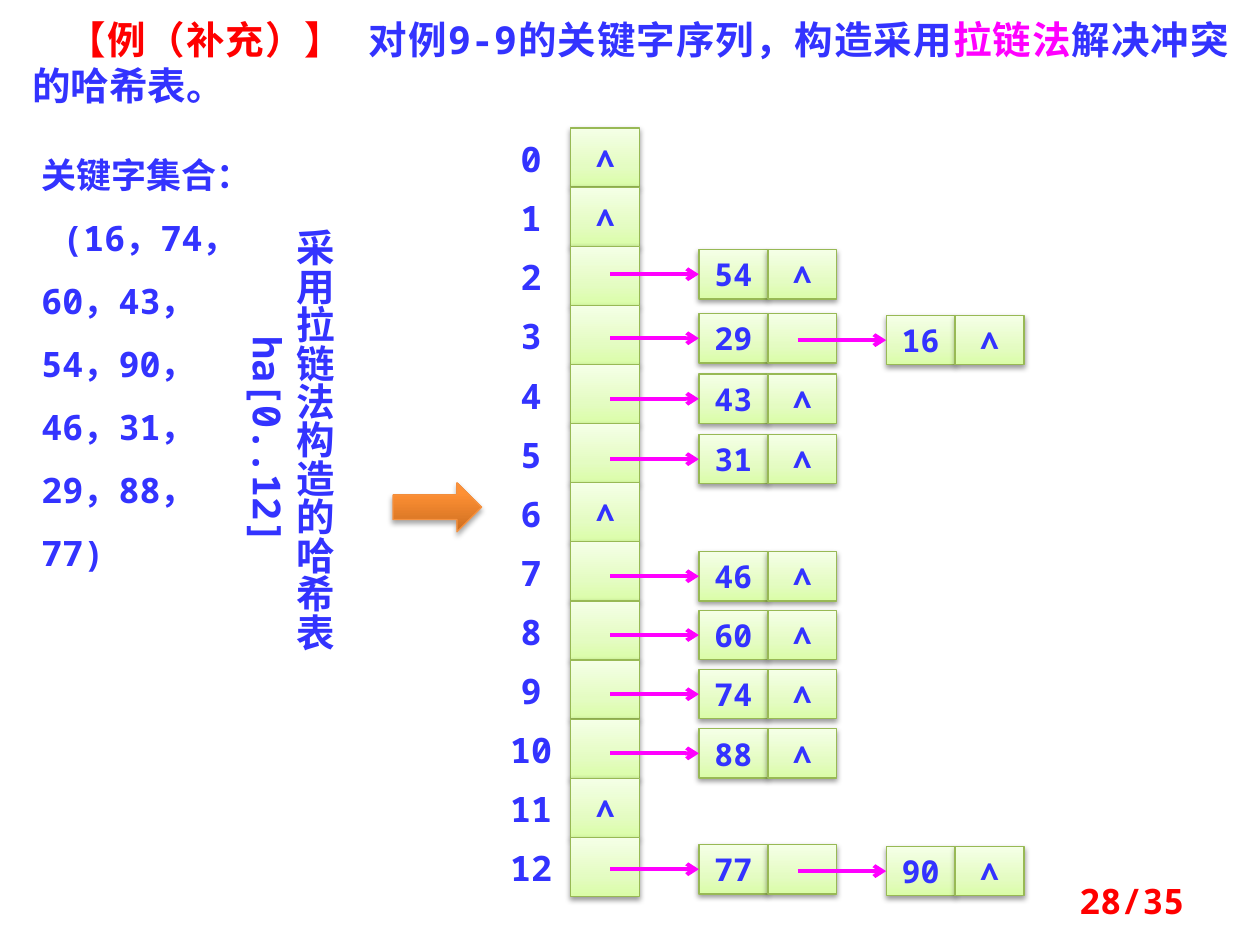
from pptx import Presentation
from pptx.dml.color import RGBColor
from pptx.enum.shapes import MSO_CONNECTOR as Link, MSO_SHAPE as Preset
from pptx.enum.text import MSO_ANCHOR as Anchor, MSO_AUTO_SIZE as Fit, PP_ALIGN as Align
from pptx.oxml import parse_xml
from pptx.oxml.ns import nsdecls, qn
from pptx.util import Pt

FONT = "Noto Sans Mono"
BLUE, RED, PINK = "3333FF", "FF0000", "FF00FF"
GREEN_STOPS = [(0, "DAFDA7"), (35, "E4FCC2"), (100, "F5FFE7")]
ORANGE_STOPS = [(0, "CC6E20"), (80, "FF9034"), (100, "FF9136")]
NIL = "∧"

# Hash table geometry, in points
TABLE_X, TABLE_Y, ROW_STEP = 326.2, 73.2, 33.78
CELL_W, NODE_H = 39.4, 28.2
NODE_X, NODE_STEP, NODE_DROP = 399.4, 107, 1.1
ROWS = 13
# Bucket: (top of the first node, keys)
CHAINS = {
    2: (142.6, [54]), 3: (179.2, [29, 16]), 4: (213.8, [43]),
    5: (248.3, [31]), 7: (315.2, [46]), 8: (348.8, [60]),
    9: (382.6, [74]), 10: (416.4, [88]), 12: (482.6, [77, 90]),
}


def color(value):
    return RGBColor.from_string(value)


def apply(target, values):
    for name, value in values.items():
        setattr(target, name, value)


def add_span(para, text, size, tint=BLUE):
    span = para.add_run()
    span.text = text
    apply(span.font, {"size": Pt(size), "bold": True, "name": FONT})
    span.font.color.rgb = color(tint)
    # East Asian glyphs take the same font
    east = parse_xml(f'<a:ea {nsdecls("a")} typeface="{FONT}"/>')
    span.font._element.find(qn("a:latin")).addnext(east)


def add_text(page, place, paras, size, align=Align.LEFT, inset=None, indents=(), **frame_format):
    box = page.shapes.add_textbox(*map(Pt, place))
    frame = box.text_frame
    apply(frame, {"word_wrap": True, "auto_size": Fit.SHAPE_TO_FIT_TEXT, **frame_format})
    if inset is not None:
        sides = ("left", "top", "right", "bottom")
        apply(frame, {f"margin_{side}": Pt(inset) for side in sides})
    for index, spans in enumerate(paras):
        para = frame.add_paragraph() if index else frame.paragraphs[0]
        para.alignment = align
        if index < len(indents):
            para._p.get_or_add_pPr().set("indent", str(Pt(indents[index])))
        for text, tint in spans:
            add_span(para, text, size, tint)
    return box


def add_block(page, preset, place, stops, edge, shadow, text=""):
    """Shape with an upward gradient, a thin edge and a soft shadow."""
    distance, alpha = shadow
    block = page.shapes.add_shape(preset, *map(Pt, place))
    block.line.color.rgb = color(edge)
    block.line.width = Pt(0.75)
    block.shadow.inherit = False
    marks = "".join(
        f'<a:gs pos="{pos * 1000}"><a:srgbClr val="{tint}"/></a:gs>' for pos, tint in stops)
    props = block._element.spPr
    props.find(qn("a:prstGeom")).addnext(parse_xml(
        f'<a:gradFill {nsdecls("a")} rotWithShape="1"><a:gsLst>{marks}</a:gsLst>'
        '<a:lin ang="16200000" scaled="0"/></a:gradFill>'))
    props.find(qn("a:effectLst")).append(parse_xml(
        f'<a:outerShdw {nsdecls("a")} blurRad="{Pt(3.1)}" dist="{Pt(distance)}" '
        'dir="5400000" rotWithShape="0"><a:srgbClr val="000000">'
        f'<a:alpha val="{alpha * 1000}"/></a:srgbClr></a:outerShdw>'))
    if text:
        block.text_frame.vertical_anchor = Anchor.MIDDLE
        para = block.text_frame.paragraphs[0]
        para.alignment = Align.CENTER
        add_span(para, text, 18)


def add_cell(page, left, top, height, text=""):
    place = (left, top, CELL_W, height)
    add_block(page, Preset.RECTANGLE, place, GREEN_STOPS, "98B955", (1.6, 38), text)


def add_pointer(page, start, end, y):
    line = page.shapes.add_connector(Link.STRAIGHT, Pt(start), Pt(y), Pt(end), Pt(y))
    line.line.color.rgb = color(PINK)
    line.line.width = Pt(2.25)
    line.line._get_or_add_ln().append(parse_xml(f'<a:tailEnd {nsdecls("a")} type="arrow"/>'))
    line._element.spPr.append(parse_xml(f'<a:effectLst {nsdecls("a")}/>'))


def add_buckets(page):
    for row in range(ROWS):
        top = TABLE_Y + row * ROW_STEP
        add_cell(page, TABLE_X, top, ROW_STEP, "" if row in CHAINS else NIL)
        add_text(page, (286.6, top + 5.4, 33.8, 24.2), [[(str(row), BLUE)]], 20,
                 Align.CENTER, inset=0)


def add_chain(page, first_top, keys):
    pointer_x = TABLE_X + 22.4
    for index, key in enumerate(keys):
        left = NODE_X + index * NODE_STEP
        top = first_top + index * NODE_DROP
        last = index == len(keys) - 1
        add_cell(page, left, top, NODE_H, str(key))
        add_cell(page, left + CELL_W, top, NODE_H, NIL if last else "")
        add_pointer(page, pointer_x, left, top + NODE_H / 2)
        pointer_x = left + CELL_W + 17


def main():
    deck = Presentation()
    deck.slide_width, deck.slide_height = Pt(720), Pt(540)
    page = deck.slides.add_slide(deck.slide_layouts[6])

    # Heading
    heading = [("【例（补充）】 ", RED), ("对例9-9的关键字序列，构造采用", BLUE),
               ("拉链法", PINK), ("解决冲突的哈希表。", BLUE)]
    add_text(page, (11.5, 5.8, 697.7, 60.5), [heading], 22, Align.JUSTIFY, indents=[20])

    # Vertical caption
    caption = add_text(page, (155.5, 123.8, 41, 371.5),
                       [[("采用拉链法构造的哈希表ha[0..12]", BLUE)]], 22, Align.CENTER)
    caption.text_frame._txBody.bodyPr.set("vert", "eaVert")

    # Hash table and its chains
    add_buckets(page)
    for first_top, keys in CHAINS.values():
        add_chain(page, first_top, keys)
    add_block(page, Preset.RIGHT_ARROW, (224.6, 275.8, 50.6, 28.1), ORANGE_STOPS,
              "F69240", (1.8, 35))

    # Key set
    key_set = [[("关键字集合：", BLUE)],
               [("(16，74，60，43，54，90，46，31，29，88，77)", BLUE)]]
    keys_box = add_text(page, (16.6, 72, 129.6, 189.4), key_set, 20, indents=[0, 12])
    for para in keys_box.text_frame.paragraphs:
        para.line_spacing = 1.5

    # Page number
    add_text(page, (516.2, 500.4, 167.8, 28.8), [[("28/35", RED)]], 20, Align.RIGHT,
             auto_size=Fit.NONE, vertical_anchor=Anchor.MIDDLE)

    deck.save("out.pptx")


main()
